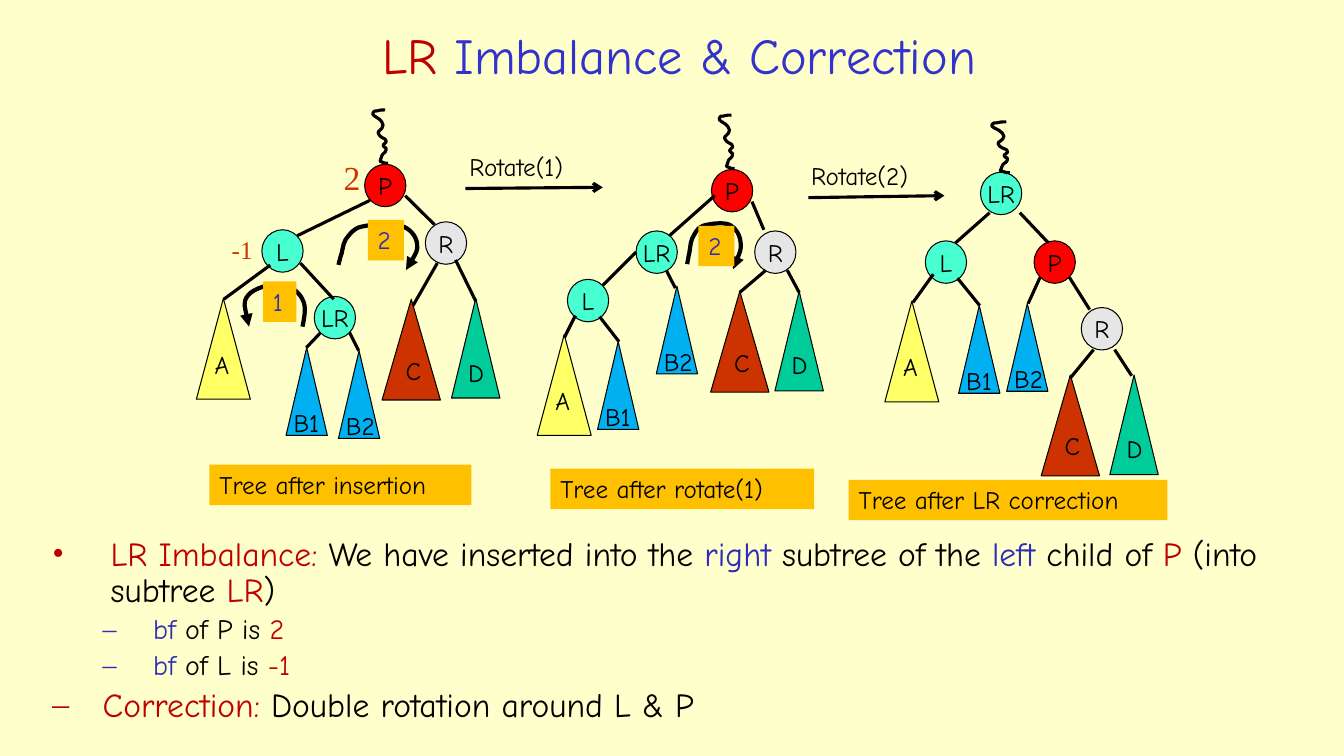
import lxml.etree
import pptx
import pptx.dml.color
import pptx.enum.shapes
import pptx.enum.text
import pptx.oxml.ns
import pptx.util

Cm, Pt = pptx.util.Cm, pptx.util.Pt
rgb = pptx.dml.color.RGBColor.from_string
qn = pptx.oxml.ns.qn
Preset = pptx.enum.shapes.MSO_SHAPE
Align, Anchor = pptx.enum.text.PP_ALIGN, pptx.enum.text.MSO_ANCHOR
BLACK, RED, BLUE, ORANGE, AMBER = "000000", "C00000", "2D2DB9", "CC3300", "FFC000"

deck = pptx.Presentation()
deck.slide_width, deck.slide_height = Cm(33.87), Cm(19.05)
page = deck.slides.add_slide(deck.slide_layouts[5])
page.background.fill.solid()
page.background.fill.fore_color.rgb = rgb("FFFFCC")
shapes = page.shapes


def write(para, spans, size=18, font="Comic Neue"):
    for text, colour in spans:
        span = para.add_run()
        span.text = text
        for name, value in {"name": font, "size": Pt(size), "bold": False}.items():
            setattr(span.font, name, value)
        span.font.color.rgb = rgb(colour)


def draw(preset, place, fill, text="", colour=BLACK, outline=True, **frame_format):
    box = shapes.add_shape(preset, *map(Cm, place))
    box.shadow.inherit = False
    box.fill.solid()
    box.fill.fore_color.rgb = rgb(fill)
    if outline:
        box.line.color.rgb = rgb(BLACK)
        box.line.width = Pt(0.75)
    else:
        box.line.fill.background()
    for name, value in frame_format.items():
        setattr(box.text_frame, name, value)
    para = box.text_frame.paragraphs[0]
    para.alignment = Align.CENTER if outline else Align.LEFT
    if text:
        write(para, [(text, colour)])


title = shapes.title
title_format = {"left": 5, "top": 0.4, "width": 24.23, "height": 1.93}
for name, value in title_format.items():
    setattr(title, name, Cm(value))
title.text_frame.vertical_anchor = Anchor.MIDDLE
title.text_frame.paragraphs[0].alignment = Align.CENTER
write(title.text_frame.paragraphs[0],
      [("LR", RED), (" Imbalance & Correction", "3333CC")], 36)

node_fills = {"P": "FF0000", "L": "47FFD1", "R": "E6E6E6", "LR": "47FFD1"}
subtree_formats = {
    "A": ("FFFF66", 1.36, 2.54, 0.21, 1.15, 0.99),
    "B1": ("00B0F0", 1.04, 2.21, -0.06, 1.38, 1.22),
    "B2": ("00B0F0", 1.04, 2.21, -0.06, 1.38, 1.32),
    "C": ("CC3300", 1.47, 2.54, 0.34, 1.28, 0.89),
    "D": ("00CC99", 1.22, 2.51, 0.17, 1.35, 0.97),
}
trees = [
    {
        "nodes": {"P": (9.19, 4.14), "L": (6.6, 5.79), "R": (10.72, 5.59), "LR": (7.92, 7.47)},
        "subtrees": {"A": (4.95, 7.52), "B1": (7.21, 8.76), "B2": (8.53, 8.84),
                     "C": (9.63, 7.54), "D": (11.38, 7.52)},
        "edges": [(9.32, 5.05, 7.49, 5.94), (10.21, 4.93, 10.95, 5.66),
                  (11.48, 6.55, 11.99, 7.59), (6.81, 6.68, 5.64, 7.54),
                  (7.57, 6.63, 8.41, 7.54), (11.02, 6.63, 10.41, 7.7),
                  (8.08, 8.38, 7.72, 8.76), (8.81, 8.38, 9.04, 8.84)],
        "caption": ("Tree after insertion", 5.28, 11.71, 6.6),
    },
    {
        "nodes": {"P": (17.93, 4.27), "L": (14.3, 7.04), "R": (19.02, 5.82), "LR": (16.03, 5.82)},
        "subtrees": {"A": (13.54, 8.43), "B1": (15.06, 8.61), "B2": (16.54, 7.21),
                     "C": (17.91, 7.34), "D": (19.53, 7.34)},
        "edges": [(18.01, 4.93, 16.87, 5.94), (18.95, 5.08, 19.25, 5.79),
                  (19.84, 6.81, 20.14, 7.37), (14.5, 7.95, 14.22, 8.51),
                  (19.3, 6.81, 18.64, 7.37), (16.03, 6.35, 15.19, 7.19),
                  (16.79, 6.81, 17.02, 7.26), (15.11, 7.98, 15.6, 8.61)],
        "caption": ("Tree after rotate(1)", 13.87, 11.81, 6.65),
    },
    {
        "nodes": {"P": (26.06, 6.07), "L": (23.32, 6.07), "R": (27.25, 7.75), "LR": (24.71, 4.34)},
        "subtrees": {"A": (22.3, 7.59), "B1": (24.16, 7.7), "B2": (25.37, 7.65),
                     "C": (26.24, 9.45), "D": (27.97, 9.45)},
        "edges": [(26.95, 6.99, 27.46, 7.8), (28.09, 8.81, 28.52, 9.47),
                  (27.56, 8.81, 26.97, 9.53), (26.21, 6.99, 25.91, 7.65),
                  (24.13, 7.01, 24.69, 7.7), (25.7, 5.36, 26.42, 6.12),
                  (24.94, 5.36, 24.08, 6.12), (23.52, 6.91, 23.01, 7.62)],
        "caption": ("Tree after LR correction", 21.39, 12.09, 8.03),
    },
]
rotations = [(11.73, 4.75, 15.19, 4.72), (20.37, 4.98, 23.8, 4.93)]
labels = [
    ("2", 8.41, 3.84, 0.94, 24, "Times New Roman", ORANGE),
    ("-1", 5.59, 5.77, 1.04, 18, "Times New Roman", ORANGE),
    ("Rotate(1)", 11.58, 3.68, 3.3, 18, "Comic Neue", BLACK),
    ("Rotate(2)", 20.19, 3.91, 3.4, 18, "Comic Neue", BLACK),
]
lines = [(edge, False) for tree in trees for edge in tree["edges"]]
lines += [(rotation, True) for rotation in rotations]

for tree in trees:
    for name, (left, top) in tree["nodes"].items():
        draw(Preset.OVAL, (left, top, 1.04, 1.07), node_fills[name], name,
             word_wrap=False, vertical_anchor=Anchor.MIDDLE)
    for name, (left, top) in tree["subtrees"].items():
        fill, width, height, shift, drop, label_width = subtree_formats[name]
        draw(Preset.ISOSCELES_TRIANGLE, (left, top, width, height), fill)
        labels.append((name, left + shift, top + drop, label_width, 18, "Comic Neue", BLACK))
    text, left, top, width = tree["caption"]
    draw(Preset.RECTANGLE, (left, top, width, 1.02), AMBER, text, outline=False,
         word_wrap=True, vertical_anchor=Anchor.TOP)

for ends, arrow in lines:
    line = shapes.add_connector(pptx.enum.shapes.MSO_CONNECTOR.STRAIGHT, *map(Cm, ends))
    line.line.color.rgb = rgb(BLACK)
    line.line.width = Pt(2.25)
    properties = line.element.spPr
    if arrow:
        lxml.etree.SubElement(properties.find(qn("a:ln")), qn("a:tailEnd"), type="arrow")
    lxml.etree.SubElement(properties, qn("a:effectLst"))

for text, left, top, width, size, font, colour in labels:
    box = shapes.add_textbox(*map(Cm, (left, top, width, 1.02)))
    box.text_frame.word_wrap = False
    write(box.text_frame.paragraphs[0], [(text, colour)], size, font)

squiggle = [(14, 0), (11, 0), (9, 0), (6, 1), (4, 1), (2, 1), (2, 3), (0, 5), (7, 8), (8, 9),
            (11, 12), (11, 12), (12, 15), (12, 16), (11, 17), (11, 18), (8, 22), (5, 21), (9, 26),
            (10, 27), (12, 28), (14, 29), (14, 30), (16, 31), (15, 32), (15, 33), (12, 34),
            (12, 35), (12, 37), (14, 37), (15, 38), (15, 39), (15, 41), (14, 42), (13, 43),
            (11, 44), (11, 45), (10, 47), (10, 49), (9, 51), (15, 53), (12, 53), (17, 53)]
left_turn = [(60, 43), (62, 33), (64, 23), (60, 16), (57, 9), (47, 1), (38, 1),
             (29, 0), (11, 5), (6, 12), (0, 19), (7, 43), (7, 43)]
right_turn = [(67, 47), (73, 37), (79, 28), (78, 21), (77, 13), (71, 6), (62, 3), (53, 0),
              (32, 2), (23, 4), (14, 6), (11, 12), (7, 17), (4, 22), (4, 30), (2, 34),
              (1, 39), (0, 40), (0, 42)]
curves = [
    (squiggle, 9.35, 2.77, 1, 1, 2.25, None),
    (squiggle, 18.08, 2.9, 1, 1, 2.25, None),
    (squiggle, 24.94, 3.07, 1.18, 0.95, 2.25, None),
    (left_turn, 6.1, 7.14, 1, 1, 3, "a:tailEnd"),
    (right_turn, 8.53, 5.61, 1, 1, 3, "a:headEnd"),
    (right_turn, 17.32, 5.59, 0.68, 1, 3, "a:headEnd"),
]
unit = Cm(2.54) / 100
for points, left, top, stretch_x, stretch_y, weight, arrow in curves:
    builder = shapes.build_freeform(*points[0], (unit * stretch_x, unit * stretch_y))
    builder.add_line_segments(points[1:], close=False)
    curve = builder.convert_to_shape(Cm(left), Cm(top))
    outline = next(curve.element.iter(qn("a:path")))
    segments = outline.findall(qn("a:lnTo"))
    for start in range(0, len(segments), 3):
        bend = lxml.etree.SubElement(outline, qn("a:cubicBezTo"))
        for segment in segments[start:start + 3]:
            bend.append(segment[0])
            outline.remove(segment)
    curve.shadow.inherit = False
    curve.fill.background()
    curve.line.color.rgb = rgb(BLACK)
    curve.line.width = Pt(weight)
    if arrow:
        lxml.etree.SubElement(curve.element.spPr.find(qn("a:ln")), qn(arrow), type="triangle")

for text, left, top, width in [("1", 6.63, 7.09, 0.84), ("2", 9.27, 5.54, 0.91),
                               ("2", 17.6, 5.69, 0.91)]:
    draw(Preset.RECTANGLE, (left, top, width, 1.02), AMBER, text, BLUE, outline=False,
         word_wrap=False, vertical_anchor=Anchor.TOP)

points_made = [
    (0, 1.47, 1.47, "•", 24, [
        ("LR Imbalance: ", RED), ("We have inserted into the ", BLACK), ("right ", BLUE),
        ("subtree of the ", BLACK), ("left", BLUE), (" child of ", BLACK), ("P", RED),
        (" (into subtree ", BLACK), ("LR", RED), (")", BLACK)]),
    (1, 2.54, 1.27, "–", 20, [("bf", BLUE), (" of P is ", BLACK), ("2", RED)]),
    (1, 2.54, 1.27, "–", 20, [("bf", BLUE), (" of L is ", BLACK), ("-1", RED)]),
    (0, 1.27, 1.27, "–", 24, [("Correction: ", RED), ("Double rotation around L & P", BLACK)]),
]
body = shapes.add_textbox(Cm(1.07), Cm(13.42), Cm(31.9), Cm(5.03)).text_frame
body.word_wrap = True
for index, (level, margin, hang, bullet, size, spans) in enumerate(points_made):
    para = body.add_paragraph() if index else body.paragraphs[0]
    para_format = {"level": level, "line_spacing": 0.9,
                   "space_before": Pt(size * 0.2 if index else 0)}
    for name, value in para_format.items():
        setattr(para, name, value)
    properties = para._p.get_or_add_pPr()
    properties.set("marL", str(Cm(margin)))
    properties.set("indent", str(-Cm(hang)))
    tint = lxml.etree.SubElement(properties, qn("a:buClr"))
    lxml.etree.SubElement(tint, qn("a:srgbClr"), val=spans[0][1])
    lxml.etree.SubElement(properties, qn("a:buFont"), typeface="Times New Roman")
    lxml.etree.SubElement(properties, qn("a:buChar"), char=bullet)
    write(para, spans, size)

deck.save("out.pptx")
